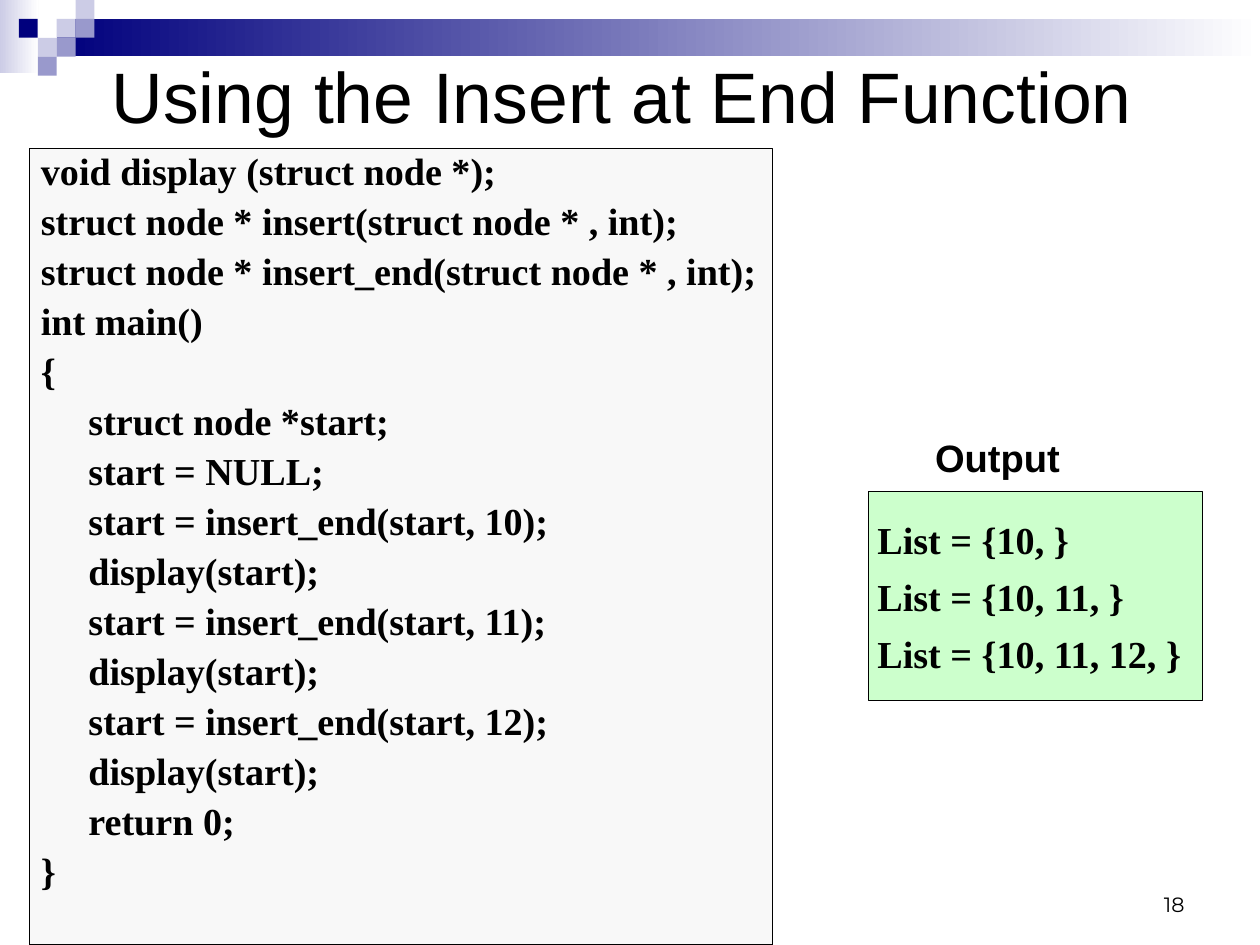
from pptx import Presentation
from pptx import util as u
from pptx.dml.color import RGBColor
from pptx.enum import shapes, text

COLORS = {
    "navy": "00007D",
    "mid": "9999CC",
    "pale": "CCCCE6",
    "white": "FFFFFF",
    "black": "000000",
    "code": "F8F8F8",
    "output": "CCFFCC",
}
CODE = """void display (struct node *);
struct node * insert(struct node * , int);
struct node * insert_end(struct node * , int);
int main()
{
     struct node *start;
     start = NULL;
     start = insert_end(start, 10);
     display(start);
     start = insert_end(start, 11);
     display(start);
     start = insert_end(start, 12);
     display(start);
     return 0;
}"""
OUTPUT = ["List = {10, }", "List = {10, 11, }", "List = {10, 11, 12, }"]
TILE = 0.42

presentation = Presentation()
presentation.slide_width = u.Cm(28)
presentation.slide_height = u.Cm(21)
slide = presentation.slides.add_slide(presentation.slide_layouts[6])


def add_box(left, top, width, height, color, end_color=None, outlined=False):
    """Add a rectangle; an end_color makes a left-to-right gradient."""
    shape = slide.shapes.add_shape(
        shapes.MSO_SHAPE.RECTANGLE,
        u.Cm(left), u.Cm(top), u.Cm(width), u.Cm(height))
    shape.shadow.inherit = False
    if end_color:
        shape.fill.gradient()
        shape.fill.gradient_angle = 0
        for position, (stop, name) in enumerate(
                zip(shape.fill.gradient_stops, (color, end_color))):
            stop.position = position
            stop.color.rgb = RGBColor.from_string(COLORS[name])
    else:
        shape.fill.solid()
        shape.fill.fore_color.rgb = RGBColor.from_string(COLORS[color])
    if outlined:
        shape.line.color.rgb = RGBColor.from_string(COLORS["black"])
        shape.line.width = u.Pt(1)
    else:
        shape.line.fill.background()
    return shape


def write(shape, lines, font, size, anchor, bold=False, inset=(0, 0),
          align=text.PP_ALIGN.LEFT, line_spacing=1.0):
    """Fill a shape with one paragraph per line; inset is (left, top)."""
    frame = shape.text_frame
    frame.word_wrap = True
    frame.vertical_anchor = anchor
    frame.margin_left, frame.margin_top = u.Cm(inset[0]), u.Cm(inset[1])
    frame.margin_right, frame.margin_bottom = 0, u.Cm(inset[1])
    for index, line in enumerate(lines):
        paragraph = frame.add_paragraph() if index else frame.paragraphs[0]
        paragraph.alignment = align
        paragraph.line_spacing = line_spacing
        paragraph.space_before = u.Pt(7 if index else 0)
        run = paragraph.add_run()
        run.text = line
        run.font.name = font
        run.font.size = u.Pt(size)
        run.font.bold = bold
        run.font.color.rgb = RGBColor.from_string(COLORS["black"])


# Header band and its checker tiles
add_box(0, 0, 0.86, 1.62, "pale", "white")
add_box(1.26, TILE, 26.74, 0.83, "navy", "white")
for column, row, color in [
        (3, 1, "pale"), (4, 0, "pale"), (4, 1, "mid"), (2, 2, "pale"),
        (1, 1, "navy"), (3, 2, "mid"), (2, 3, "mid")]:
    add_box(column * TILE, row * TILE, TILE, TILE, color)

title = slide.shapes.add_textbox(u.Cm(2.48), u.Cm(0.94), u.Cm(23.96), u.Cm(2.36))
write(title, ["Using the Insert at End Function"], "Arial", 45,
      text.MSO_ANCHOR.MIDDLE)

code_box = add_box(0.66, 3.3, 16.51, 17.7, "code", outlined=True)
write(code_box, CODE.splitlines(), "Times New Roman", 24, text.MSO_ANCHOR.TOP,
      bold=True, inset=(0.25, 0.13), line_spacing=0.85)

output_label = slide.shapes.add_textbox(
    u.Cm(20.78), u.Cm(9.65), u.Cm(3.81), u.Cm(1.02))
write(output_label, ["Output"], "Arial", 24, text.MSO_ANCHOR.TOP, bold=True)

output_box = add_box(19.3, 10.92, 7.42, 4.65, "output", outlined=True)
write(output_box, OUTPUT, "Times New Roman", 24, text.MSO_ANCHOR.MIDDLE,
      bold=True, inset=(0.2, 0))

page_number = slide.shapes.add_textbox(
    u.Cm(20.07), u.Cm(19.13), u.Cm(6.25), u.Cm(1.4))
write(page_number, ["18"], "Montserrat", 13, text.MSO_ANCHOR.BOTTOM,
      inset=(0, 0.15), align=text.PP_ALIGN.RIGHT)

presentation.save("out.pptx")
